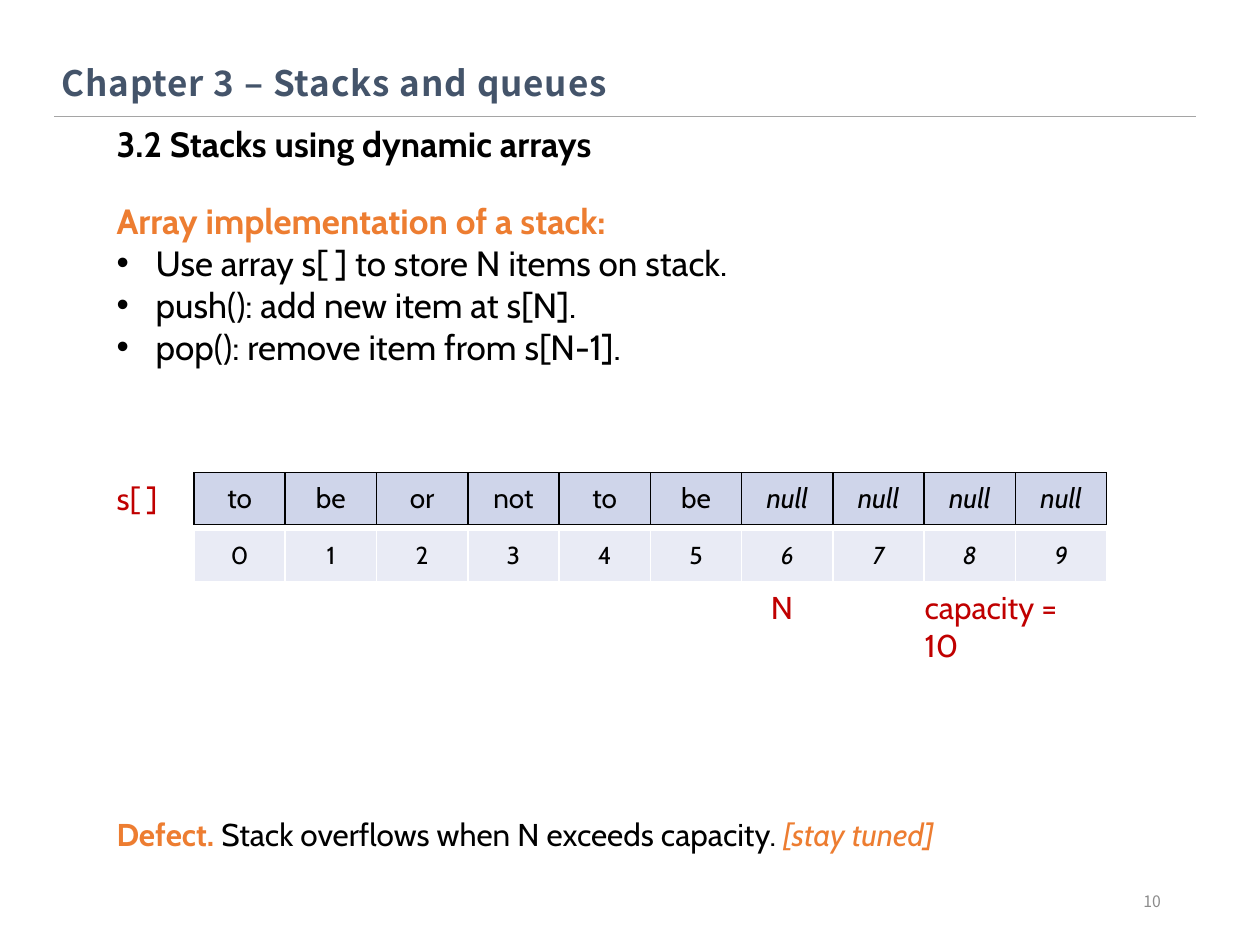
import pptx
import pptx.dml.color
import pptx.enum.shapes
import pptx.enum.text
import pptx.oxml
import pptx.oxml.ns
import pptx.util
from lxml import etree

Cm = pptx.util.Cm
Pt = pptx.util.Pt
ALIGN = pptx.enum.text.PP_ALIGN
ANCHOR = pptx.enum.text.MSO_ANCHOR
BLACK, RED, ORANGE = "000000", "C00000", "ED7D31"
HEAD_FONT = "Noto Sans CJK KR"


def rgb(value):
    return pptx.dml.color.RGBColor.from_string(value)


def sub(parent, tag, **attrs):
    return etree.SubElement(parent, pptx.oxml.ns.qn(tag), **attrs)


class Deck:
    """Holds the text style and the current slide, and adds elements to it."""

    def __init__(self, width, height, font):
        self.prs = pptx.Presentation()
        self.prs.slide_width, self.prs.slide_height = Cm(width), Cm(height)
        self.s = self.prs.slides.add_slide(self.prs.slide_layouts[6])
        self.style = {"name": font, "size": Pt(18), "bold": False, "italic": False}

    def run(self, p, text, color=BLACK, spacing=None, **formats):
        r = p.add_run()
        r.text = text
        for name, value in {**self.style, **formats}.items():
            setattr(r.font, name, value)
        r.font.color.rgb = rgb(color)
        props = r._r.get_or_add_rPr()
        if spacing:
            props.set("spc", str(spacing))
        sub(props, "a:ea", typeface=r.font.name)

    def bullet(self, p):
        props = p._p.get_or_add_pPr()
        props.set("marL", str(Cm(0.79)))
        props.set("indent", str(-Cm(0.79)))
        sub(props, "a:buFont", typeface="Arial")
        sub(props, "a:buChar", char="•")

    def text(self, x, y, w, h, paragraphs, wrap=True, anchor=ANCHOR.TOP,
             align=ALIGN.LEFT, bullets_from=None):
        sp = self.s.shapes.add_textbox(Cm(x), Cm(y), Cm(w), Cm(h))
        tf = sp.text_frame
        tf.word_wrap, tf.vertical_anchor = wrap, anchor
        for i, runs in enumerate(paragraphs):
            p = tf.add_paragraph() if i else tf.paragraphs[0]
            p.alignment = align
            if bullets_from is not None and i >= bullets_from:
                self.bullet(p)
            for text, formats in runs:
                self.run(p, text, **formats)

    def line(self, x1, y1, x2, y2, color, width):
        kind = pptx.enum.shapes.MSO_CONNECTOR.STRAIGHT
        c = self.s.shapes.add_connector(kind, Cm(x1), Cm(y1), Cm(x2), Cm(y2))
        c.line.color.rgb, c.line.width = rgb(color), Pt(width)
        sub(c._element.spPr, "a:effectLst")

    def border(self, cell, color, width):
        props = cell._tc.get_or_add_tcPr()
        for i, side in enumerate(("a:lnL", "a:lnR", "a:lnT", "a:lnB")):
            ln = pptx.oxml.parse_xml(
                f'<{side} {pptx.oxml.ns.nsdecls("a")} w="{Pt(width)}"><a:solidFill>'
                f'<a:srgbClr val="{color}"/></a:solidFill></{side}>')
            props.insert(i, ln)

    def row(self, x, y, col_w, h, values, fill, size, italic_from, border=None):
        n = len(values)
        table = self.s.shapes.add_table(1, n, Cm(x), Cm(y), Cm(n * col_w), Cm(h)).table
        table.first_row = table.horz_banding = False
        for i, value in enumerate(values):
            table.columns[i].width = Cm(col_w)
            cell = table.cell(0, i)
            cell.vertical_anchor = ANCHOR.MIDDLE
            cell.fill.solid()
            cell.fill.fore_color.rgb = rgb(fill)
            p = cell.text_frame.paragraphs[0]
            p.alignment = ALIGN.CENTER
            self.run(p, value, size=Pt(size), italic=i >= italic_from)
            if border:
                self.border(cell, border, 1)


def main():
    deck = Deck(25.4, 19.05, "Cabin")
    left, big = 2.1, Pt(20)

    deck.text(17.93, 17.65, 5.72, 1.02,
              [[("10", {"name": HEAD_FONT, "size": Pt(9), "color": "8C8C8C"})]],
              anchor=ANCHOR.MIDDLE, align=ALIGN.RIGHT)
    deck.line(1.09, 2.34, 24.1, 2.34, "A5A5A5", 0.5)
    deck.text(left, 2.34, 21.8, 1.11,
              [[("3.2 Stacks using dynamic arrays", {"size": big, "bold": True})]])

    operations = ["Use array s[ ] to store N items on stack.",
                  "push(): add new item at s[N].",
                  "pop(): remove item from s[N-1]."]
    heading = ("Array implementation of a stack:",
               {"size": big, "bold": True, "color": ORANGE})
    deck.text(left, 3.89, 22, 3.68,
              [[heading]] + [[(text, {"size": big})] for text in operations],
              bullets_from=1)

    words = ["to", "be", "or", "not", "to", "be"]
    count, capacity = len(words), 10
    items = words + ["null"] * (capacity - count)
    indexes = [str(i) for i in range(capacity)]
    deck.row(3.91, 9.53, 1.84, 1.04, items, "CFD5EA", 16, count, border=BLACK)
    deck.row(3.91, 10.69, 1.84, 1.04, indexes, "E9EBF5", 14, count)

    for text, x, y, w, wrap in (("s[ ]", left, 9.53, 1.5, False),
                                ("N", 15.29, 11.73, 0.94, False),
                                ("capacity = 10", 18.39, 11.73, 3.91, True)):
        deck.text(x, y, w, 1.02, [[(text, {"color": RED})]], wrap=wrap)

    deck.text(left, 16.31, 20.19, 1.02,
              [[("Defect.", {"bold": True, "color": ORANGE}),
                (" Stack overflows when N exceeds capacity. ", {}),
                ("[stay tuned]", {"italic": True, "color": ORANGE})]])
    deck.text(0.99, 1.12, 24.31, 1.68,
              [[("Chapter 3 – Stacks and queues",
                 {"name": HEAD_FONT, "size": big, "bold": True,
                  "color": "44546A", "spacing": 50})]])
    deck.prs.save("out.pptx")


if __name__ == "__main__":
    main()
